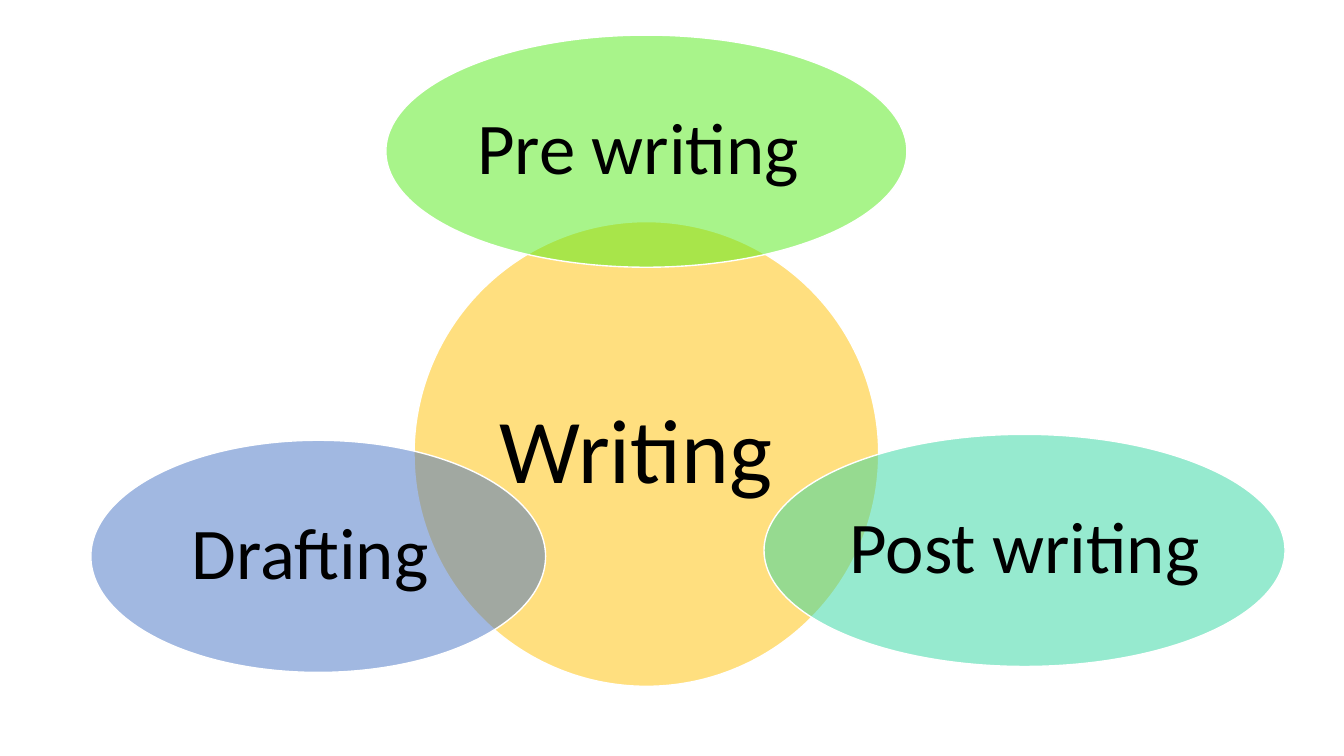
from dataclasses import dataclass

from lxml import etree
from pptx import Presentation
from pptx import util as u
from pptx.dml.color import RGBColor
from pptx.enum import shapes, text
from pptx.oxml.ns import qn


@dataclass(frozen=True)
class Theme:
    font: str = "Calibri"
    ink: str = "000000"
    outline: str = "FFFFFF"
    hub: str = "FFC000"
    pre: str = "53EB17"
    post: str = "2ED7A1"
    draft: str = "4472C4"
    hub_size: int = 65
    stage_size: int = 52
    opacity: int = 50


THEME = Theme()

# Stages: label, colour, offset of the centre from the hub's centre, width (cm)
STAGES = [
    ("Pre writing ", THEME.pre, 0, -7.63, 13.13),
    ("Post writing ", THEME.post, 9.53, 2.43, 13.13),
    ("Drafting ", THEME.draft, -8.27, 2.58, 11.46),
]
STAGE_HEIGHT = 5.85


def add_oval(page, box, label, colour, size, inset):
    """Draw a translucent labelled oval; box is centre x, centre y, width, height in cm."""
    cx, cy, width, height = box
    oval = page.shapes.add_shape(
        shapes.MSO_SHAPE.OVAL,
        u.Cm(cx - width / 2), u.Cm(cy - height / 2), u.Cm(width), u.Cm(height))
    oval.shadow.inherit = False
    oval.fill.solid()
    oval.fill.fore_color.rgb = RGBColor.from_string(colour)
    tint = oval.fill._xPr.find(qn("a:solidFill"))[0]
    etree.SubElement(tint, qn("a:alpha"), val=str(THEME.opacity * 1000))
    oval.line.color.rgb = RGBColor.from_string(THEME.outline)
    oval.line.width = u.Pt(1)

    # Label
    frame = oval.text_frame
    frame.text = label
    frame.word_wrap = True
    frame.vertical_anchor = text.MSO_ANCHOR.MIDDLE
    frame.margin_left = frame.margin_right = u.Cm(inset)
    frame.margin_top = frame.margin_bottom = u.Cm(inset)
    para = frame.paragraphs[0]
    para.alignment = text.PP_ALIGN.CENTER
    para.line_spacing = 0.9
    span = para.runs[0]
    span.font.name = THEME.font
    span.font.size = u.Pt(size)
    span.font.color.rgb = RGBColor.from_string(THEME.ink)


def add_writing_diagram(page, box):
    """Draw the hub filling the box and the stages around it."""
    cx, cy, width, height = box
    add_oval(page, box, "Writing ", THEME.hub, THEME.hub_size, 0.23)
    for label, colour, dx, dy, stage_width in STAGES:
        stage_box = (cx + dx, cy + dy, stage_width, STAGE_HEIGHT)
        add_oval(page, stage_box, label, colour, THEME.stage_size, 0.18)


def main():
    deck = Presentation()
    deck.slide_width, deck.slide_height = u.Cm(33.87), u.Cm(19.05)
    page = deck.slides.add_slide(deck.slide_layouts[6])
    add_writing_diagram(page, (16.29, 11.44, 11.71, 11.71))
    deck.save("out.pptx")


if __name__ == "__main__":
    main()
